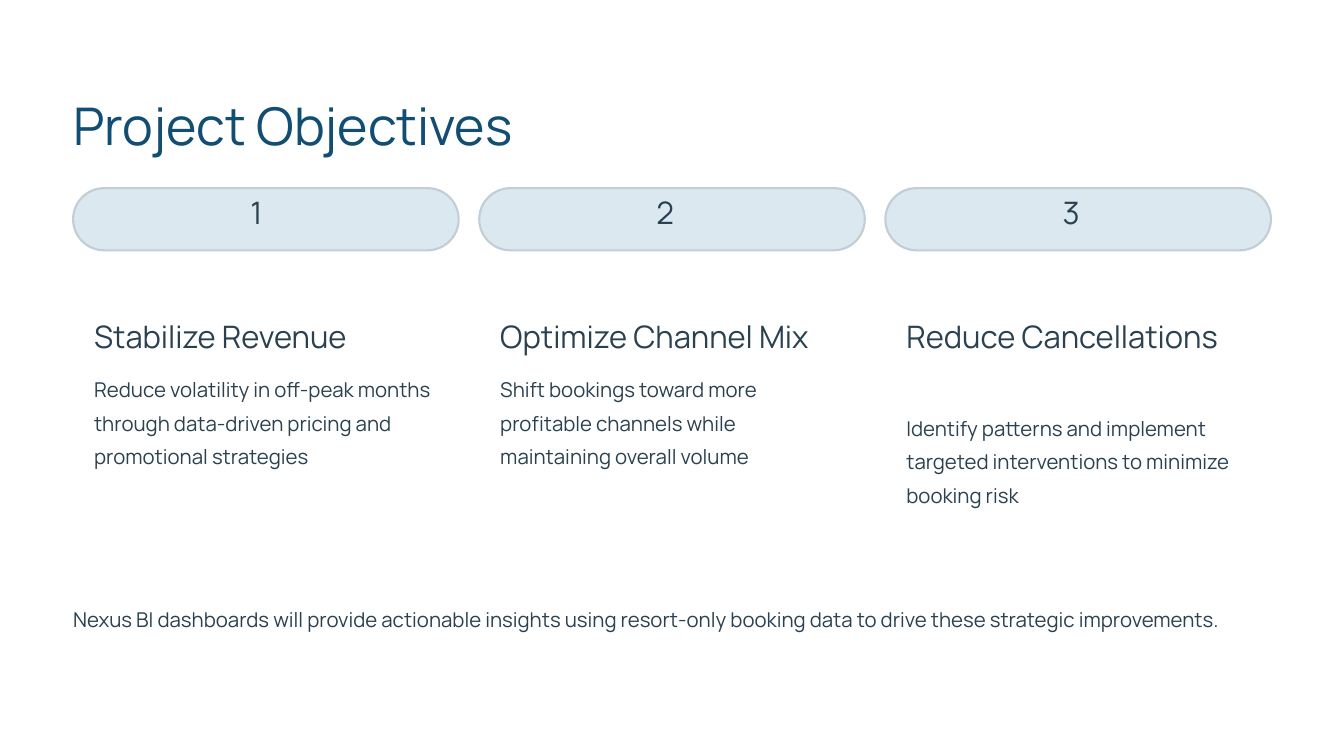
from pptx import Presentation
from pptx.dml.color import RGBColor
from pptx.enum.shapes import MSO_SHAPE
from pptx.util import Inches, Pt

PILL = MSO_SHAPE.ROUNDED_RECTANGLE
FONT = "Manrope"
NAVY, INK, PALE, EDGE, WHITE = "124E73", "2B4150", "DBE8F0", "C1CED6", "FFFFFF"
LEFT, STEP = 0.87, 4.835
GOALS = [
    ("Stabilize Revenue", 4.39,
     "Reduce volatility in off-peak months through data-driven pricing "
     "and promotional strategies"),
    ("Optimize Channel Mix", 4.39,
     "Shift bookings toward more profitable channels while maintaining "
     "overall volume"),
    ("Reduce Cancellations", 4.85,
     "Identify patterns and implement targeted interventions to minimize "
     "booking risk"),
]


def color(code):
    return RGBColor.from_string(code)


class Deck:
    """Hold the style and the current slide."""

    def __init__(self):
        self.prs = Presentation()
        self.prs.slide_width = Inches(16)
        self.prs.slide_height = Inches(9)
        self.slide = self.prs.slides.add_slide(self.prs.slide_layouts[6])
        fill = self.slide.background.fill
        fill.solid()
        fill.fore_color.rgb = color(WHITE)

    def text(self, box, words, size, lead, ink=INK):
        frame = self.slide.shapes.add_textbox(*map(Inches, box)).text_frame
        frame.word_wrap = True
        frame.margin_left = frame.margin_right = 0
        frame.margin_top = frame.margin_bottom = 0
        para = frame.paragraphs[0]
        para.line_spacing = Pt(lead)
        run = para.add_run()
        run.text = words
        run.font.name = FONT
        run.font.size = Pt(size)
        run.font.color.rgb = color(ink)

    def pill(self, box):
        shape = self.slide.shapes.add_shape(PILL, *map(Inches, box))
        shape.adjustments[0] = 0.5
        shape.shadow.inherit = False
        shape.fill.solid()
        shape.fill.fore_color.rgb = color(PALE)
        shape.line.color.rgb = color(EDGE)
        shape.line.width = Pt(1.8)

    def goal(self, index, title, top, body):
        x = LEFT + index * STEP
        self.pill((x, 2.24, 4.59, 0.74))
        self.text((x + 2.11, 2.38, 0.37, 0.47), str(index + 1), 26.5, 26.5)
        self.text((x + 0.25, 3.77, 4.09, 0.47), title, 26.5, 33)
        self.text((x + 0.25, top, 4.09, 1.19), body, 17.5, 28.5)


def main():
    deck = Deck()
    deck.text((LEFT, 1.09, 6.2, 0.78), "Project Objectives", 44.5, 55.5, NAVY)
    for index, (title, top, body) in enumerate(GOALS):
        deck.goal(index, title, top, body)
    deck.text((LEFT, 7.12, 14.26, 0.79),
              "Nexus BI dashboards will provide actionable insights using "
              "resort-only booking data to drive these strategic improvements.",
              17.5, 28.5)
    deck.prs.save("out.pptx")


if __name__ == "__main__":
    main()
